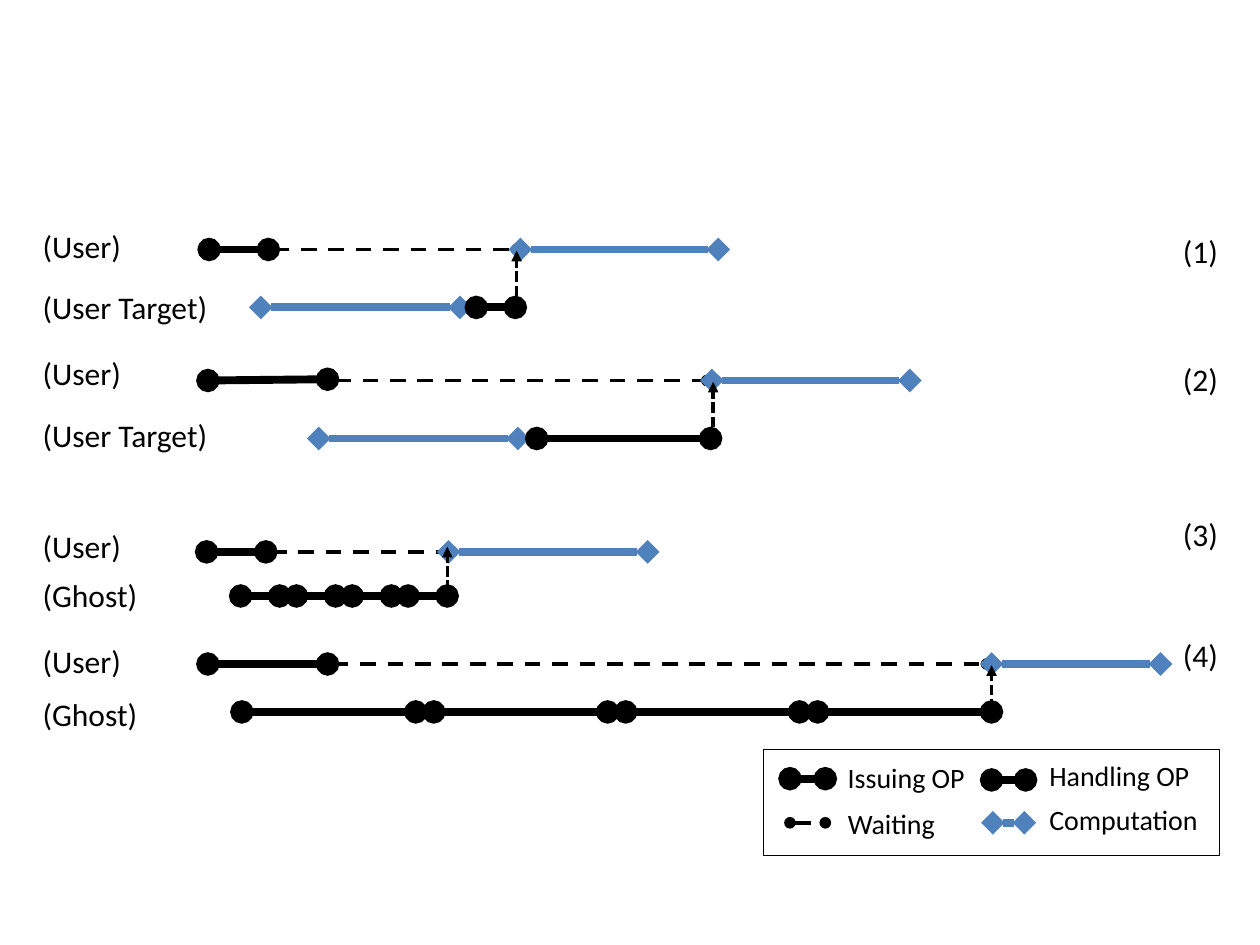
from dataclasses import dataclass
from typing import NamedTuple

from lxml import etree
from pptx import Presentation
from pptx.dml.color import RGBColor
from pptx.enum import dml, shapes, text
from pptx.oxml.ns import qn
from pptx.util import Emu, Inches, Pt

COLUMNS, ROWS = 100, 75  # square grid over the slide
BLACK, BLUE = "000000", "4F81BD"


class Stroke(NamedTuple):
    """Look of one kind of activity."""
    colour: str
    weight: float
    head: str | None
    tail: str
    dash: dml.MSO_LINE | None = None


OPERATION = Stroke(BLACK, 4.5, "oval", "oval")
WAITING = Stroke(BLACK, 2.25, "oval", "oval", dml.MSO_LINE.DASH)
COMPUTATION = Stroke(BLUE, 4.5, "diamond", "diamond")
SIGNAL = Stroke(BLACK, 2, None, "triangle", dml.MSO_LINE.SQUARE_DOT)


class Span(NamedTuple):
    """Start and end of an activity, in columns, with an optional rise in rows."""
    start: float
    end: float
    lift: float = 0


@dataclass
class Case:
    """A user line and its partner line, with label tops and activities."""
    number: str
    number_top: float
    user_row: float
    user_top: float
    partner: str
    partner_row: float
    partner_top: float
    issuing: Span
    waiting: Span
    handling: list[Span]
    computing: Span
    signal: Span  # column, column, and row of the arrow tip
    signal_from: float
    partner_computing: Span | None = None


class Key(NamedTuple):
    """One legend entry: the sample line and the place of its label."""
    label: str
    stroke: Stroke
    span: Span
    row: float
    label_left: float
    label_top: float
    label_width: float


CASES = [
    Case("(1)", 17.9, 19.8, 17.5, "(User Target)", 24.4, 22.4,
         Span(16.6, 21.3), Span(21.3, 41), [Span(37.8, 40.9)], Span(41.3, 57),
         Span(41, 41, 19.9), 23.5, Span(20.7, 36.5)),
    Case("(2)", 28.1, 30.2, 27.6, "(User Target)", 34.8, 32.5,
         Span(16.5, 26, 0.1), Span(26.2, 56.1), [Span(42.6, 56.4)], Span(56.5, 72.2),
         Span(56.6, 56.6, 30.3), 33.9, Span(25.3, 41.1)),
    Case("(3)", 40.4, 43.8, 41.3, "(Ghost)", 47.3, 45.2,
         Span(16.4, 21.1), Span(21.1, 35.7),
         [Span(19.1 + 4.43 * i, 22.2 + 4.43 * i) for i in range(4)],
         Span(35.6, 51.4), Span(35.5, 35.5, 43.4), 46.9),
    Case("(4)", 50, 52.7, 50.5, "(Ghost)", 56.5, 54.7,
         Span(16.5, 26), Span(26, 78.3),
         [Span(19.2 + 15.23 * i, 33 + 15.23 * i) for i in range(4)],
         Span(78.7, 92.1), Span(78.7, 78.7, 52.8), 56.3),
]

KEYS = [
    Key("Issuing OP", OPERATION, Span(62.7, 65.5), 61.8, 66.3, 59.9, 11.4),
    Key("Handling OP", OPERATION, Span(78.7, 81.4), 61.9, 82.3, 59.7, 13.3),
    Key("Waiting", WAITING, Span(62.7, 65.5), 65.3, 66.3, 63.5, 9.1),
    Key("Computation", COMPUTATION, Span(78.8, 81.3), 65.3, 82.3, 63.2, 14.5),
]
LABEL_WIDTHS = {"(User)": 8.3, "(User Target)": 15.5, "(Ghost)": 9.6}

deck = Presentation()
deck.slide_width, deck.slide_height = Inches(10), Inches(7.5)
slide = deck.slides.add_slide(deck.slide_layouts[6])


def x(column: float) -> Emu:
    """Turn columns into a length."""
    return Emu(round(deck.slide_width * column / COLUMNS))


def y(row: float) -> Emu:
    """Turn rows into a length."""
    return Emu(round(deck.slide_height * row / ROWS))


def rgb(colour: str) -> RGBColor:
    """Turn a hex string into a colour."""
    return RGBColor.from_string(colour)


def add_line(stroke: Stroke, start: tuple[float, float], end: tuple[float, float]) -> None:
    """Draw a line with its end marks between two (column, row) points."""
    link = slide.shapes.add_connector(
        shapes.MSO_CONNECTOR.STRAIGHT, x(start[0]), y(start[1]), x(end[0]), y(end[1]))
    link.line.color.rgb = rgb(stroke.colour)
    link.line.width = Pt(stroke.weight)
    if stroke.dash is not None:
        link.line.dash_style = stroke.dash
    outline = link.line._get_or_add_ln()
    for tag, mark in (("a:headEnd", stroke.head), ("a:tailEnd", stroke.tail)):
        if mark:
            etree.SubElement(outline, qn(tag), type=mark)
    etree.SubElement(link._element.spPr, qn("a:effectLst"))


def add_activity(stroke: Stroke, span: Span, row: float) -> None:
    """Draw an activity along a row."""
    add_line(stroke, (span.start, row), (span.end, row - span.lift))


def add_label(words: str, left: float, top: float, width: float, size: float = 18) -> None:
    """Write one unwrapped line of text."""
    box = slide.shapes.add_textbox(x(left), y(top), x(width), y(size * 0.224))
    frame = box.text_frame
    frame.word_wrap = False
    frame.auto_size = text.MSO_AUTO_SIZE.SHAPE_TO_FIT_TEXT
    line = frame.paragraphs[0]
    line.text = words
    line.font.name, line.font.size = "Calibri", Pt(size)
    line.font.color.rgb = rgb(BLACK)


def add_case(case: Case) -> None:
    """Draw both lines of a case with their labels."""
    add_activity(OPERATION, case.issuing, case.user_row)
    add_activity(WAITING, case.waiting, case.user_row)
    if case.partner_computing:
        add_activity(COMPUTATION, case.partner_computing, case.partner_row)
    for span in case.handling:
        add_activity(OPERATION, span, case.partner_row)
    add_activity(COMPUTATION, case.computing, case.user_row)
    add_line(SIGNAL, (case.signal.start, case.signal_from), (case.signal.end, case.signal.lift))
    for name, top in (("(User)", case.user_top), (case.partner, case.partner_top)):
        add_label(name, 2.4, top, LABEL_WIDTHS[name])
    add_label(case.number, 92.9, case.number_top, 4.8)


def add_legend() -> None:
    """Draw the legend entries and their frame."""
    for key in KEYS:
        add_activity(key.stroke, key.span, key.row)
        add_label(key.label, key.label_left, key.label_top, key.label_width, 16)
    border = slide.shapes.add_shape(
        shapes.MSO_SHAPE.RECTANGLE, x(60.6), y(59.5), x(36.2), y(8.4))
    border.shadow.inherit = False
    border.fill.background()
    border.line.color.rgb = rgb(BLACK)
    border.line.width = Pt(0.75)


for case in CASES:
    add_case(case)
add_legend()
deck.save("out.pptx")
